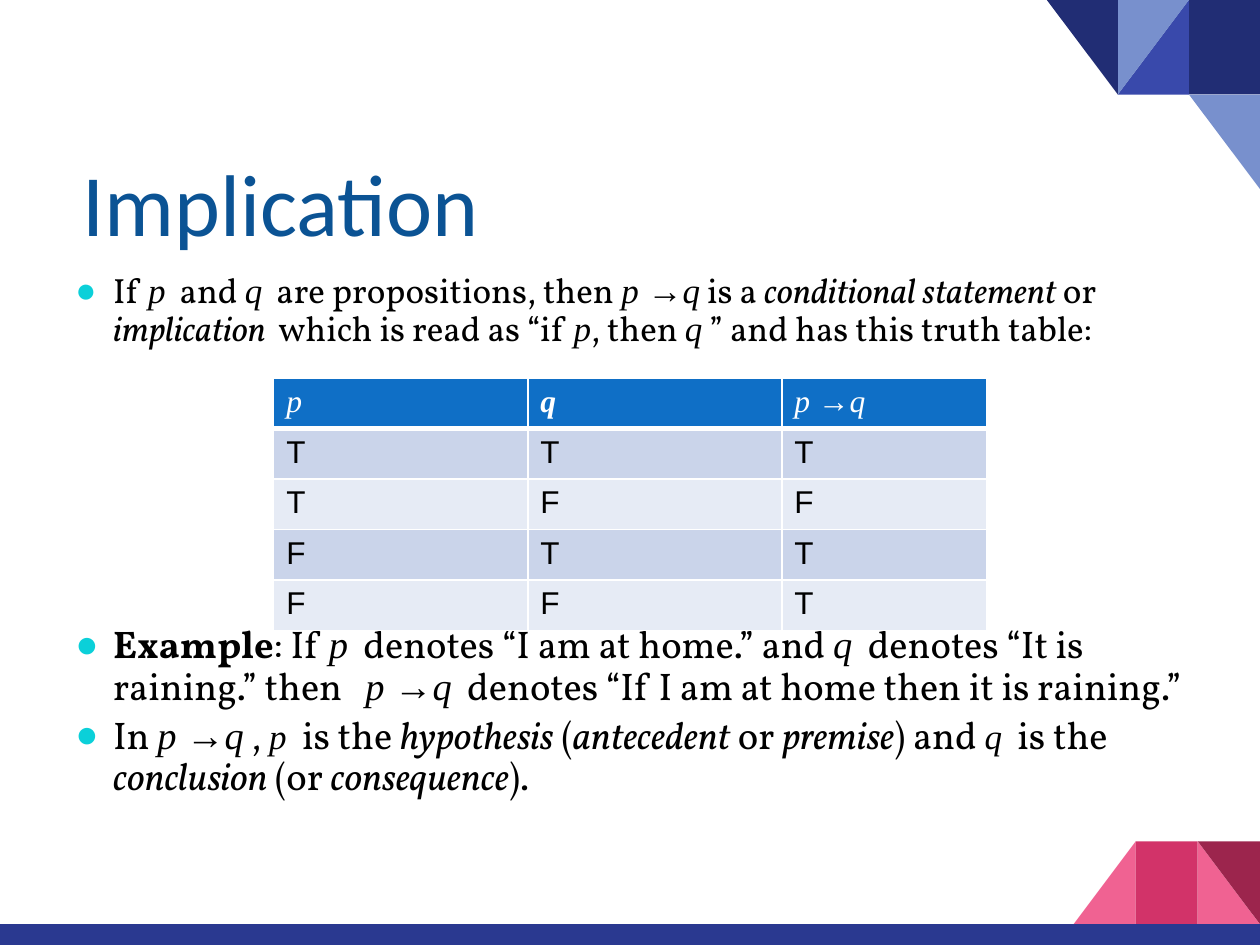
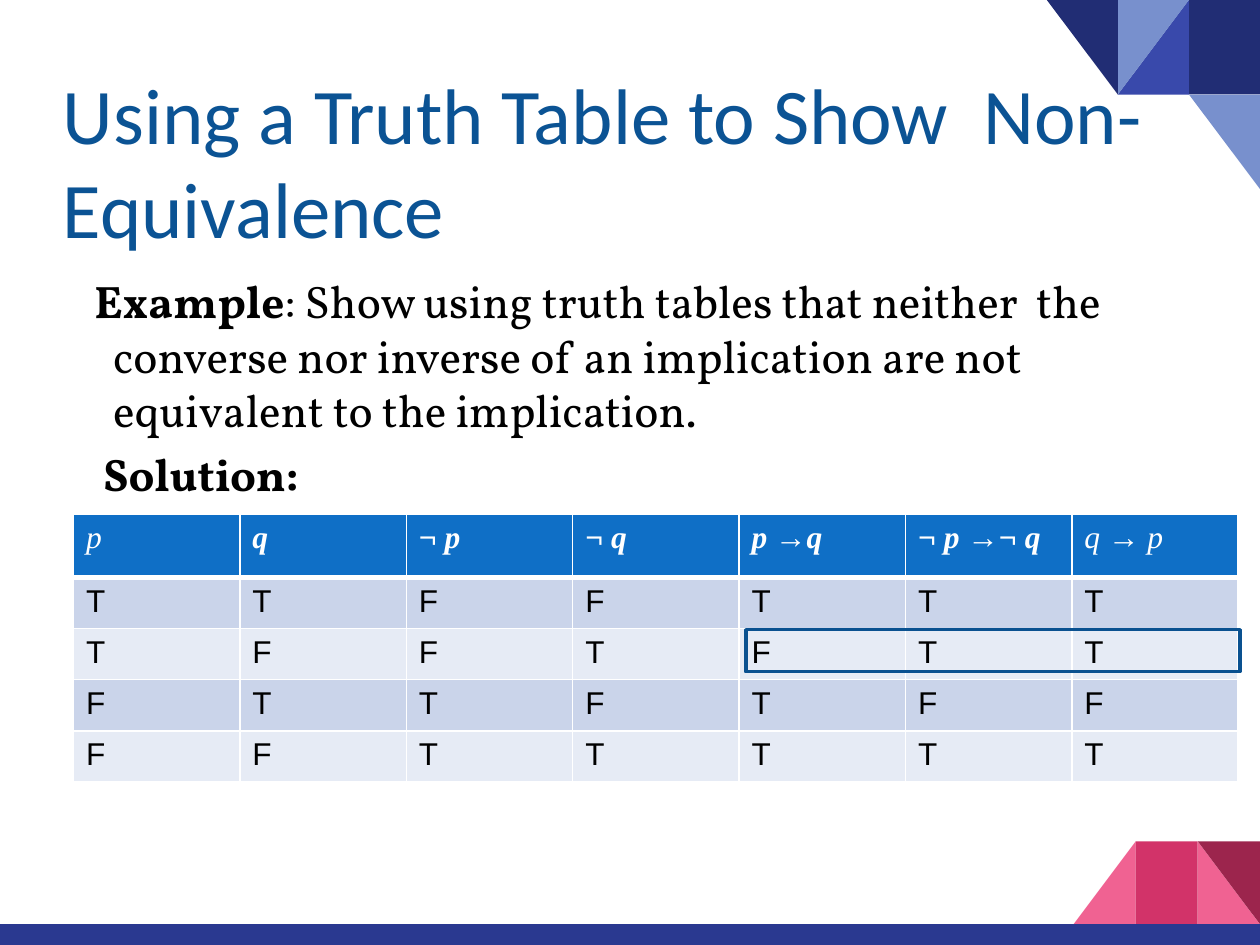
"""Build two slides on logical implication and truth tables."""
from lxml.etree import SubElement
from pptx import Presentation
from pptx.dml.color import RGBColor
from pptx.enum.shapes import MSO_SHAPE as Shape
from pptx.enum.text import MSO_ANCHOR as Anchor
from pptx.oxml.ns import qn
from pptx.util import Pt

BLACK, WHITE = RGBColor(0, 0, 0), RGBColor(255, 255, 255)
TITLE_BLUE = RGBColor(0x0B, 0x53, 0x94)
OUTLINE_BLUE = RGBColor(0x0A, 0x51, 0x90)
HEADER_BLUE = RGBColor(0x0F, 0x6F, 0xC6)
BANDS = RGBColor(0xCA, 0xD4, 0xEA), RGBColor(0xE6, 0xEB, 0xF5)
BULLET_CYAN = RGBColor(0x0B, 0xD0, 0xD9)
NAVY = RGBColor(0x21, 0x2D, 0x74)
INDIGO = RGBColor(0x39, 0x49, 0xAB)
PALE_BLUE = RGBColor(0x78, 0x90, 0xCD)
PINK = RGBColor(0xF0, 0x62, 0x92)
ROSE = RGBColor(0xD2, 0x33, 0x69)
WINE = RGBColor(0x9C, 0x25, 0x4D)
BAR_BLUE = RGBColor(0x2A, 0x39, 0x90)

WIDTH, HEIGHT = 720, 540
TITLE_BOX = (36, 55.4, 648, 90)
BODY_BOX = (36, 152.6, 648, 345.6)
HANGING = 21.6

BODY, MATH = "Vollkorn", "Times New Roman"
PLAIN = {"name": BODY, "bold": False, "italic": False}
BOLD = {**PLAIN, "bold": True}
ITALIC = {**PLAIN, "italic": True}
SIGN = {"name": MATH, "bold": False, "italic": False}
VAR = {**SIGN, "italic": True}
VAR_20 = {**VAR, "size": Pt(20)}
BOLD_SIGN = {**SIGN, "bold": True}
BOLD_VAR = {**VAR, "bold": True}
VALUE = {"name": "Arial", "bold": False, "italic": False}

P_IMPLIES_Q = [("p ", VAR), ("→", SIGN), ("q", VAR)]

TOP_CORNER = (40.6, 54, 0, [
    (1, 0, Shape.RECTANGLE, NAVY, 0, False),
    (2, 0, Shape.RIGHT_TRIANGLE, INDIGO, 0, True),
    (2, 0, Shape.RIGHT_TRIANGLE, PALE_BLUE, 180, True),
    (3, 0, Shape.RIGHT_TRIANGLE, NAVY, 180, False),
    (1, 1, Shape.RIGHT_TRIANGLE, PALE_BLUE, 180, False),
])
BOTTOM_CORNER = (35.5, 47.3, 480.8, [
    (1, 0, Shape.RIGHT_TRIANGLE, PINK, 0, False),
    (3, 0, Shape.RIGHT_TRIANGLE, PINK, 0, True),
    (2, 0, Shape.RECTANGLE, ROSE, 0, False),
    (1, 0, Shape.RIGHT_TRIANGLE, WINE, 180, False),
])

SLIDES = [
    {
        "title": ("Implication", 50, 11.3),
        "body": [
            {"size": 20, "bullet": True, "spacing": 0.9, "runs": [
                ("If ", PLAIN), ("p", VAR), ("  and ", PLAIN), ("q", VAR),
                ("  are propositions, then ", PLAIN), *P_IMPLIES_Q,
                (" is a ", PLAIN), ("conditional statement ", ITALIC),
                ("or ", PLAIN), ("implication ", ITALIC),
                (" which is read as “if ", PLAIN), ("p", VAR),
                (", then ", PLAIN), ("q", VAR),
                (" ” and has this truth table:", PLAIN)]},
            {"size": 22, "bullet": True, "spacing": 0.9, "before": 158, "runs": [
                ("Example", BOLD), (": If ", PLAIN), ("p", VAR),
                ("  denotes “I am at home.” and ", PLAIN), ("q", VAR),
                ("  denotes “It is raining.” then   ", PLAIN), *P_IMPLIES_Q,
                ("  denotes “If I am at home then it is raining.”", PLAIN)]},
            {"size": 22, "bullet": True, "spacing": 0.9, "before": 4.4, "runs": [
                ("In ", PLAIN), *P_IMPLIES_Q, (" , ", PLAIN), ("p", VAR_20),
                ("  is the ", PLAIN), ("hypothesis", ITALIC), (" (", PLAIN),
                ("antecedent", ITALIC), (" or ", PLAIN), ("premise", ITALIC),
                (") and ", PLAIN), ("q", VAR_20), ("  is the ", PLAIN),
                ("conclusion", ITALIC), (" (or ", PLAIN),
                ("consequence", ITALIC), (").", PLAIN)]},
        ],
        "table": {
            "at": (156.4, 216), "columns": (145.2, 145.2, 117.2), "heights": (27.4, 27.4),
            "header": [[("p", VAR)], [("q", BOLD_VAR)], P_IMPLIES_Q],
            "values": ["TTT", "TFF", "FTT", "FFT"]},
    },
    {
        "title": ("Using a Truth Table to Show  Non-Equivalence", 45, 0),
        "body": [
            {"size": 26, "indent": -10.8, "runs": [
                ("Example", BOLD),
                (": Show using truth tables that neither  the converse nor inverse of "
                 "an implication are not equivalent to the implication.", PLAIN)]},
            {"size": 26, "indent": -5.7, "before": 5.2, "runs": [("Solution:", BOLD)]},
        ],
        "table": {
            "at": (42, 294), "columns": (95.1,) * 7, "heights": (36, 29.2),
            "header": [
                [("p", VAR)], [("q", BOLD_VAR)],
                [("¬ ", BOLD_SIGN), ("p", BOLD_VAR)],
                [("¬ ", BOLD_SIGN), ("q", BOLD_VAR)],
                [("p ", BOLD_VAR), ("→", BOLD_SIGN), ("q", BOLD_VAR)],
                [("¬ ", BOLD_SIGN), ("p ", BOLD_VAR), ("→¬ ", BOLD_SIGN), ("q", BOLD_VAR)],
                [("q ", VAR), ("→ ", SIGN), ("p", VAR)]],
            "values": ["TTFFTTT", "TFFTFTT", "FTTFTFF", "FFTTTTT"]},
        "highlight": (426.2, 359.8, 282.4, 24),
    },
]


def points(values):
    return [Pt(value) for value in values]


def add_part(page, kind, place, fill=None, line=None):
    part = page.shapes.add_shape(kind, *points(place))
    part.shadow.inherit = False
    if fill is None:
        part.fill.background()
    else:
        part.fill.solid()
        part.fill.fore_color.rgb = fill
    if line is None:
        part.line.fill.background()
    else:
        part.line.color.rgb = line
        part.line.width = Pt(2)
    return part


def add_corner(page, width, height, top, pieces):
    for column, row, kind, color, rotation, flipped in pieces:
        place = (WIDTH - column * width, top + row * height, width, height)
        piece = add_part(page, kind, place, color)
        piece.rotation = rotation
        if flipped:
            piece._element.spPr.xfrm.set("flipH", "1")


def add_runs(para, runs, size, color):
    for text, style in runs:
        span = para.add_run()
        span.text = text
        for key, value in {"size": Pt(size), **style}.items():
            setattr(span.font, key, value)
        span.font.color.rgb = color


def add_box(page, place, insets, anchor):
    frame = page.shapes.add_textbox(*points(place)).text_frame
    frame.word_wrap = True
    frame.vertical_anchor = anchor
    for side, inset in zip(("left", "top", "right", "bottom"), insets):
        setattr(frame, f"margin_{side}", Pt(inset))
    return frame


def set_indent(para, margin, indent):
    props = para._p.get_or_add_pPr()
    props.set("marL", str(Pt(margin)))
    props.set("indent", str(Pt(indent)))
    return props


def add_title(page, text, size, indent):
    para = add_box(page, TITLE_BOX, (0, 3.6, 0, 0), Anchor.BOTTOM).paragraphs[0]
    set_indent(para, 0, indent)
    add_runs(para, [(text, {"name": "Calibri"})], size, TITLE_BLUE)


def add_body(page, items):
    frame = add_box(page, BODY_BOX, (7.2, 3.6, 7.2, 3.6), Anchor.TOP)
    for index, item in enumerate(items):
        para = frame.add_paragraph() if index else frame.paragraphs[0]
        para.line_spacing = item.get("spacing", 1.0)
        para.space_before = Pt(item.get("before", 0))
        props = set_indent(para, HANGING, item.get("indent", -HANGING))
        if item.get("bullet"):
            color = SubElement(props, qn("a:buClr"))
            SubElement(color, qn("a:srgbClr"), val=str(BULLET_CYAN))
            SubElement(props, qn("a:buFont"), typeface="Arial")
            SubElement(props, qn("a:buChar"), char="●")
        add_runs(para, item["runs"], item["size"], BLACK)


def set_borders(cell, widths):
    props = cell._tc.get_or_add_tcPr()
    for index, (side, width) in enumerate(zip("LRTB", widths)):
        line = props.makeelement(qn(f"a:ln{side}"), {"w": str(Pt(width))})
        fill = SubElement(line, qn("a:solidFill"))
        SubElement(fill, qn("a:srgbClr"), val=str(WHITE))
        props.insert(index, line)


def add_truth_table(page, at, columns, heights, header, values):
    first, other = heights
    rows = [header] + [[[(letter, VALUE)] for letter in row] for row in values]
    size = (sum(columns), first + other * len(values))
    table = page.shapes.add_table(len(rows), len(columns), *points(at + size)).table
    table.horz_banding = False
    for column, width in zip(table.columns, columns):
        column.width = Pt(width)
    for r, row in enumerate(rows):
        table.rows[r].height = Pt(other if r else first)
        for c, runs in enumerate(row):
            cell = table.cell(r, c)
            cell.fill.solid()
            cell.fill.fore_color.rgb = BANDS[(r - 1) % 2] if r else HEADER_BLUE
            set_borders(cell, (1, 1, 3 if r == 1 else 1, 1 if r else 3))
            add_runs(cell.text_frame.paragraphs[0], runs, 18, BLACK if r else WHITE)


def main():
    deck = Presentation()
    deck.slide_width, deck.slide_height = Pt(WIDTH), Pt(HEIGHT)
    for content in SLIDES:
        page = deck.slides.add_slide(deck.slide_layouts[6])
        add_corner(page, *TOP_CORNER)
        add_corner(page, *BOTTOM_CORNER)
        add_part(page, Shape.RECTANGLE, (0, HEIGHT - 12, WIDTH, 12), BAR_BLUE)
        add_title(page, *content["title"])
        add_body(page, content["body"])
        add_truth_table(page, **content["table"])
        if "highlight" in content:
            add_part(page, Shape.RECTANGLE, content["highlight"], line=OUTLINE_BLUE)
    deck.save("out.pptx")


if __name__ == "__main__":
    main()
